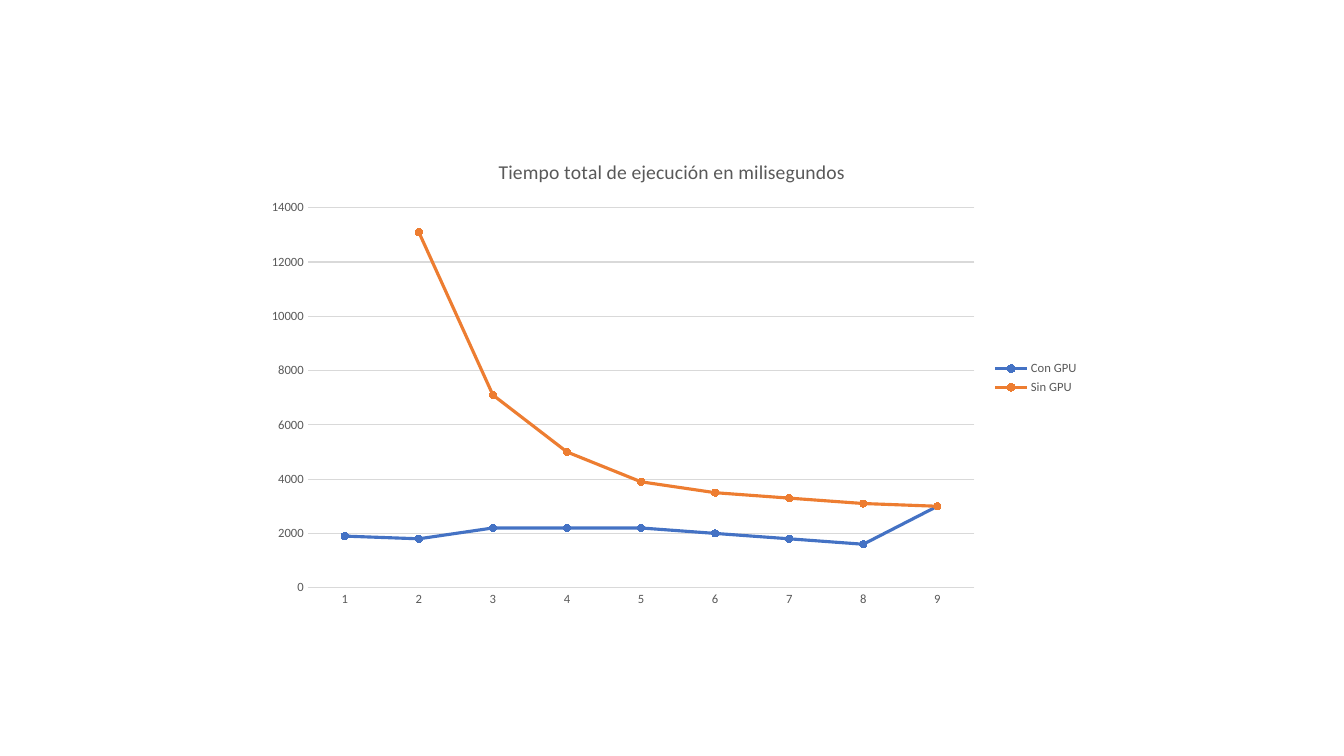
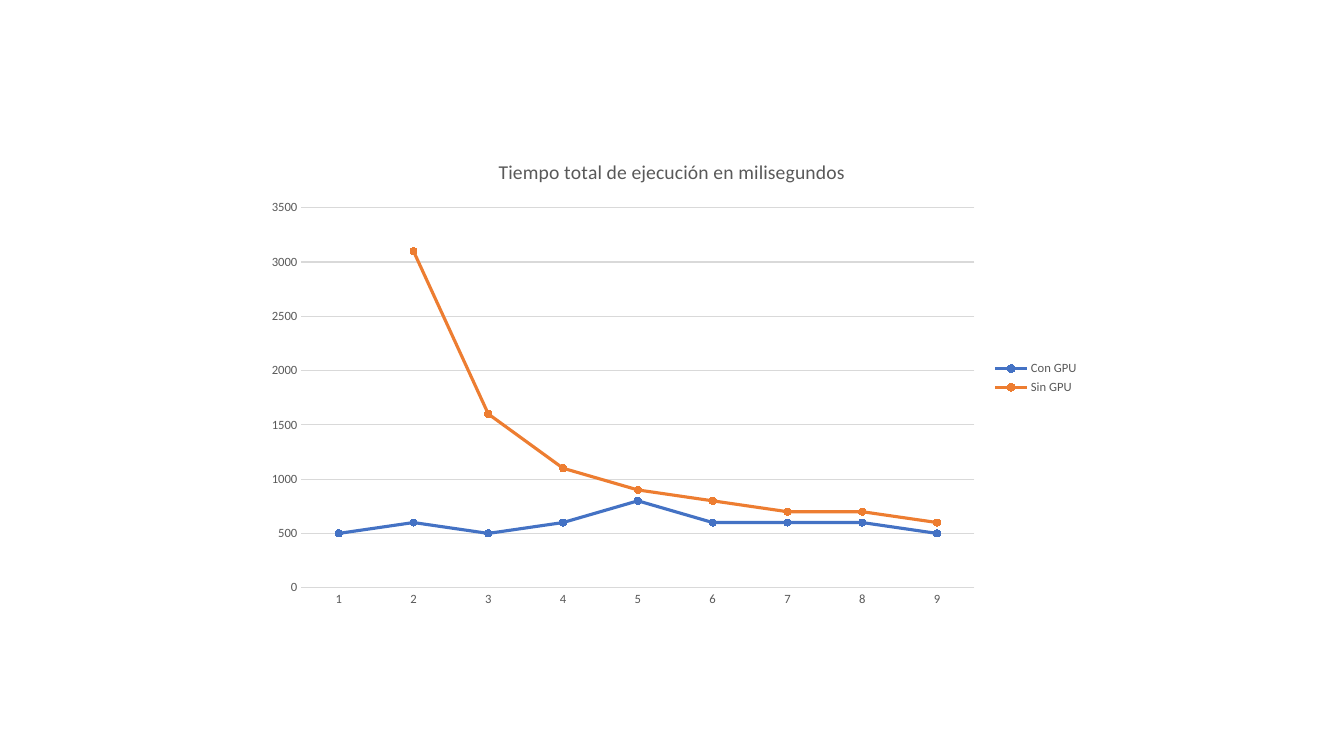
from pptx import Presentation
from pptx.chart.data import CategoryChartData
from pptx.dml.color import RGBColor
from pptx.enum.chart import (
    XL_CHART_TYPE as ChartType,
    XL_LEGEND_POSITION as LegendPosition,
    XL_MARKER_STYLE as MarkerStyle,
    XL_TICK_MARK as TickMark,
)
from pptx.util import Inches, Pt

CHART_TITLE = "Tiempo total de ejecución en milisegundos"
CATEGORIES = [str(number) for number in range(1, 10)]
SERIES_NAMES = ("Con GPU", "Sin GPU")
# Each slide: axis maximum, axis step, values of each series
TIMINGS = [
    (14000, 2000,
     [1900, 1800, 2200, 2200, 2200, 2000, 1800, 1600, 3000],
     [None, 13100, 7100, 5000, 3900, 3500, 3300, 3100, 3000]),
    (3500, 500,
     [500, 600, 500, 600, 800, 600, 600, 600, 500],
     [None, 3100, 1600, 1100, 900, 800, 700, 700, 600]),
]


def color(hex_string):
    return RGBColor.from_string(hex_string)


class ChartDeck:
    FONT = "Calibri"
    TEXT = "595959"
    GRID = "D9D9D9"
    SERIES_COLORS = ("4472C4", "ED7D31")
    BLANK_LAYOUT = 6

    def __init__(self):
        self.deck = Presentation()
        self.deck.slide_width = Inches(13.33)
        self.deck.slide_height = Inches(7.5)
        self.slide = None

    def add_slide(self):
        layout = self.deck.slide_layouts[self.BLANK_LAYOUT]
        self.slide = self.deck.slides.add_slide(layout)

    def style_font(self, font, size):
        font.name = self.FONT
        font.size = Pt(size)
        font.bold = False
        font.color.rgb = color(self.TEXT)

    def style_line(self, line, hex_string, width):
        line.color.rgb = color(hex_string)
        line.width = Pt(width)

    def add_line_chart(self, title, maximum, step, *series_values):
        data = CategoryChartData()
        data.categories = CATEGORIES
        for name, values in zip(SERIES_NAMES, series_values):
            data.add_series(name, values)
        chart = self.slide.shapes.add_chart(
            ChartType.LINE_MARKERS, Inches(2.53), Inches(1.39),
            Inches(8.27), Inches(4.72), data).chart
        self.style_font(chart.font, 10)
        self.style_title(chart, title)
        self.style_legend(chart)
        self.style_axes(chart, maximum, step)
        self.style_series(chart.plots[0])

    def style_title(self, chart, title):
        chart.has_title = True
        para = chart.chart_title.text_frame.paragraphs[0]
        para.text = title
        self.style_font(para.runs[0].font, 14)
        chart.chart_title.include_in_layout = False

    def style_legend(self, chart):
        chart.has_legend = True
        chart.legend.position = LegendPosition.RIGHT
        chart.legend.include_in_layout = False
        self.style_font(chart.legend.font, 9)

    def style_axes(self, chart, maximum, step):
        for axis in (chart.category_axis, chart.value_axis):
            axis.major_tick_mark = TickMark.NONE
            axis.minor_tick_mark = TickMark.NONE
            self.style_font(axis.tick_labels.font, 9)
        self.style_line(chart.category_axis.format.line, self.GRID, 0.75)

        value_axis = chart.value_axis
        value_axis.minimum_scale = 0
        value_axis.maximum_scale = maximum
        value_axis.major_unit = step
        value_axis.format.line.fill.background()
        value_axis.has_major_gridlines = True
        self.style_line(value_axis.major_gridlines.format.line, self.GRID, 0.75)

    def style_series(self, plot):
        plot.vary_by_categories = False
        for series, hex_string in zip(plot.series, self.SERIES_COLORS):
            series.smooth = False
            self.style_line(series.format.line, hex_string, 2.25)
            marker = series.marker
            marker.style = MarkerStyle.CIRCLE
            marker.size = 5
            marker.format.fill.solid()
            marker.format.fill.fore_color.rgb = color(hex_string)
            self.style_line(marker.format.line, hex_string, 0.75)


def main():
    builder = ChartDeck()
    for timing in TIMINGS:
        builder.add_slide()
        builder.add_line_chart(CHART_TITLE, *timing)
    builder.deck.save("out.pptx")


if __name__ == "__main__":
    main()
